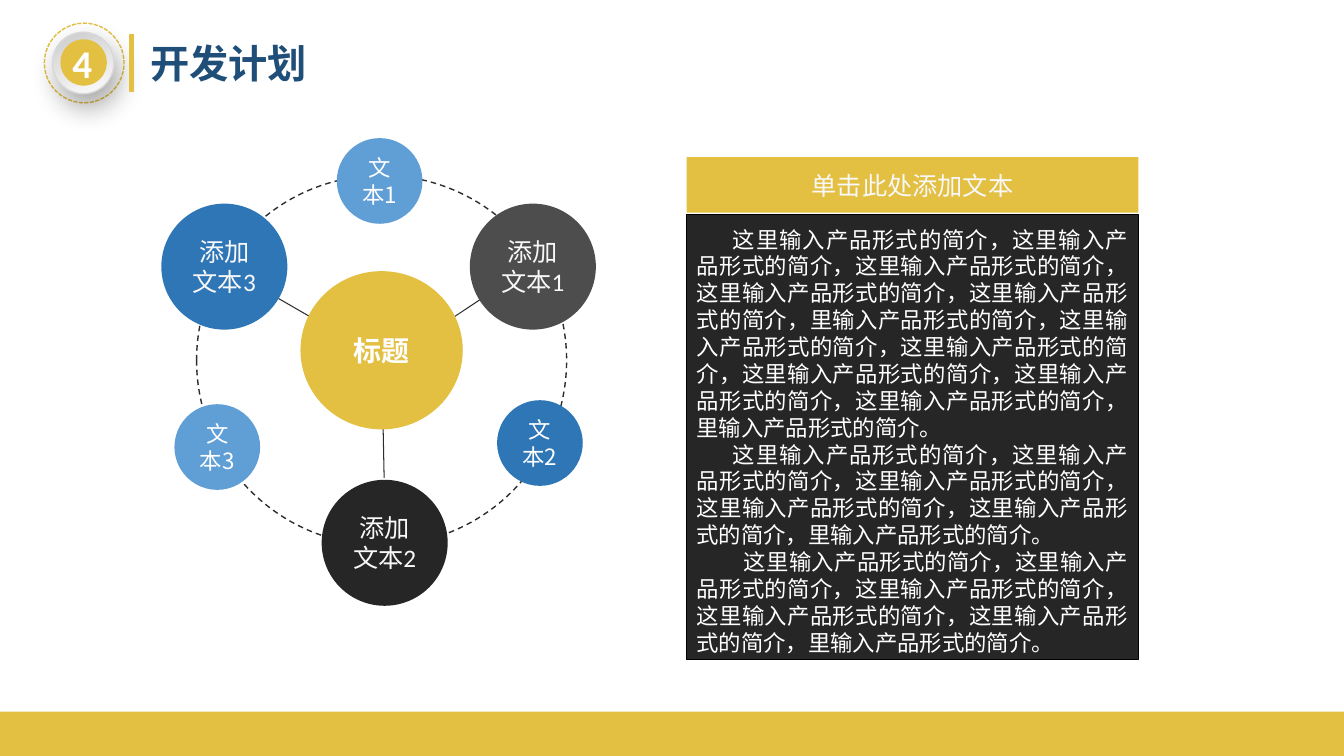
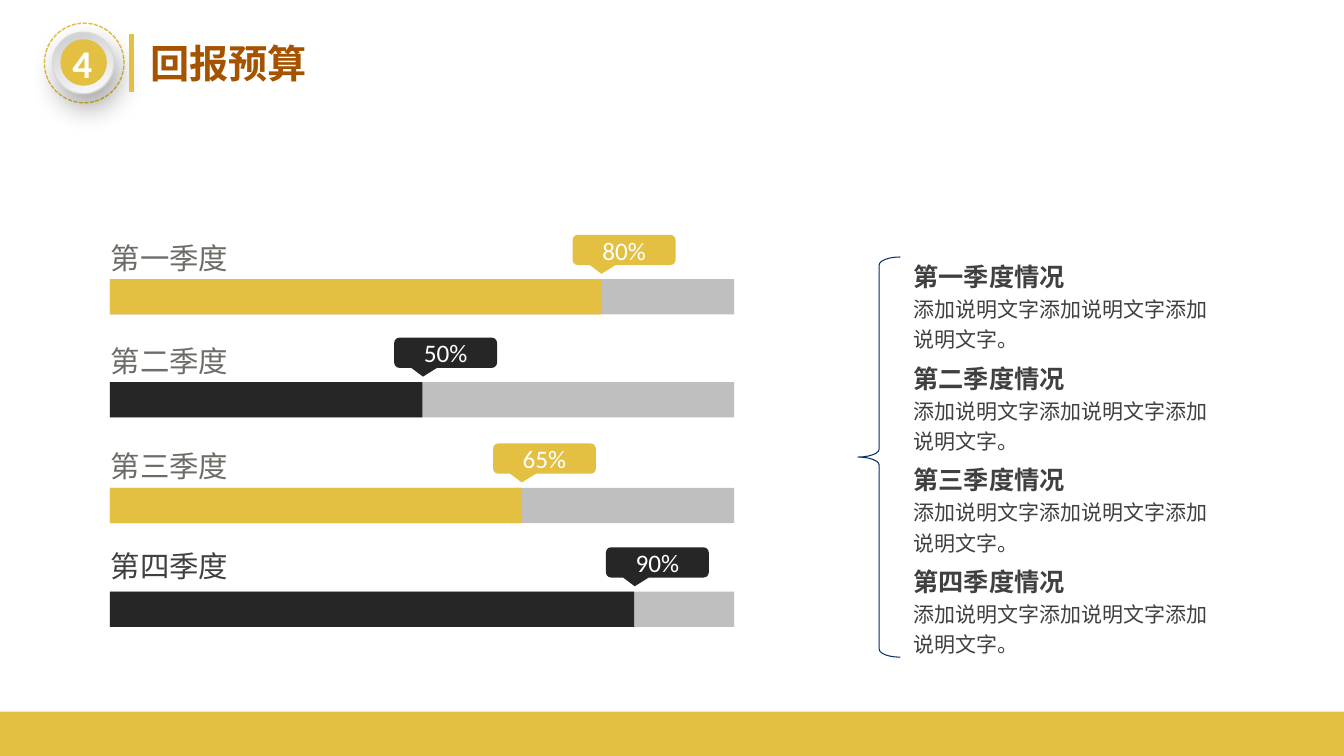
"""Build a development plan slide and a return budget slide."""
import pptx
import pptx.dml.color
import pptx.enum.dml
import pptx.enum.shapes
import pptx.enum.text
import pptx.oxml.xmlchemy
import pptx.util

Inches = pptx.util.Inches
Pt = pptx.util.Pt
RGBColor = pptx.dml.color.RGBColor
SHAPE = pptx.enum.shapes.MSO_SHAPE
DASH = pptx.enum.dml.MSO_LINE
ALIGN = pptx.enum.text.PP_ALIGN
ANCHOR = pptx.enum.text.MSO_ANCHOR
FIT = pptx.enum.text.MSO_AUTO_SIZE
OxmlElement = pptx.oxml.xmlchemy.OxmlElement

GOLD = RGBColor(0xE3, 0xBF, 0x42)
INK = RGBColor(0x26, 0x26, 0x26)
CHARCOAL = RGBColor(0x4D, 0x4D, 0x4D)
SLATE = RGBColor(0x2B, 0x2E, 0x30)
BLUE = RGBColor(0x2F, 0x76, 0xB7)
SKY = RGBColor(0x60, 0x9E, 0xD6)
NAVY = RGBColor(0x1F, 0x4E, 0x79)
BRACE_BLUE = RGBColor(0x05, 0x2E, 0x65)
BROWN = RGBColor(0xA6, 0x53, 0x00)
TEXT_GREY = RGBColor(0x40, 0x40, 0x40)
LABEL_GREY = RGBColor(0x6E, 0x6C, 0x67)
TRACK_GREY = RGBColor(0xBF, 0xBF, 0xBF)
RIM_GREY = RGBColor(0xD9, 0xD9, 0xD9)
SHADE = RGBColor(0xCC, 0xCC, 0xCC)
GLOW = RGBColor(0xFC, 0xFC, 0xFC)
OFF_WHITE = RGBColor(0xF8, 0xF8, 0xF8)
WHITE = RGBColor(0xFF, 0xFF, 0xFF)
BLACK = RGBColor(0, 0, 0)
LATIN = "Calibri"
HAN = "Noto Sans CJK SC"


def draw(slide, kind, box, fill=None, line=None, width=1, dash=None):
    shape = slide.shapes.add_shape(kind, *[Inches(length) for length in box])
    shape.shadow.inherit = False
    if fill is None:
        shape.fill.background()
    else:
        shape.fill.solid()
        shape.fill.fore_color.rgb = fill
    if line is None:
        shape.line.fill.background()
    else:
        shape.line.color.rgb = line
        shape.line.width = Pt(width)
        shape.line.dash_style = dash
    return shape


def write(holder, text, size, color, font=HAN, bold=False, align=ALIGN.LEFT, more=False):
    frame = holder.text_frame
    paragraph = frame.add_paragraph() if more else frame.paragraphs[0]
    paragraph.alignment = align
    run = paragraph.add_run()
    run.text = text
    run.font.name = font
    run.font.size = Pt(size)
    run.font.bold = bold
    run.font.color.rgb = color
    east_asian = OxmlElement("a:ea")
    east_asian.set("typeface", HAN)
    run.font._element.append(east_asian)
    return paragraph


deck = pptx.Presentation()
deck.slide_width = Inches(13.33)
deck.slide_height = Inches(7.5)

slides = []
for title, title_color in [("开发计划", NAVY), ("回报预算", BROWN)]:
    slide = deck.slides.add_slide(deck.slide_layouts[6])
    slides.append(slide)
    draw(slide, SHAPE.RECTANGLE, (0, 7.06, 13.33, 0.44), GOLD)
    draw(slide, SHAPE.OVAL, (0.44, 0.23, 0.79, 0.79), None, GOLD, 1, DASH.SQUARE_DOT)

    badge = draw(slide, SHAPE.OVAL, (0.52, 0.32, 0.61, 0.61), None, RIM_GREY)
    badge.fill.gradient()
    badge.fill.gradient_angle = 290
    for stop, position, color in zip(badge.fill.gradient_stops, (0, 1), (SHADE, GLOW)):
        stop.position = position
        stop.color.rgb = color
    shadow = OxmlElement("a:outerShdw")
    for key, value in [("blurRad", Pt(20)), ("dist", Pt(10)), ("dir", 70 * 60000),
                       ("algn", "ctr"), ("rotWithShape", 0)]:
        shadow.set(key, str(value))
    shadow_color = OxmlElement("a:srgbClr")
    shadow_color.set("val", str(BLACK))
    opacity = OxmlElement("a:alpha")
    opacity.set("val", "34000")
    shadow_color.append(opacity)
    shadow.append(shadow_color)
    badge._element.spPr.find(pptx.oxml.ns.qn("a:effectLst")).append(shadow)

    draw(slide, SHAPE.OVAL, (0.6, 0.39, 0.46, 0.46), GOLD)
    for left, width, text, color, font in [(0.62, 0.4, "4", WHITE, LATIN),
                                           (1.39, 1.77, title, title_color, HAN)]:
        heading = slide.shapes.add_textbox(Inches(left), Inches(0.34), Inches(width), Inches(0.57))
        heading.text_frame.word_wrap = False
        heading.text_frame.auto_size = FIT.SHAPE_TO_FIT_TEXT
        write(heading, text, 28, color, font, True)
    draw(slide, SHAPE.RECTANGLE, (1.29, 0.34, 0.03, 0.57), GOLD, GOLD)

plan, budget = slides

draw(plan, SHAPE.OVAL, (1.95, 1.74, 3.67, 3.67), None, SLATE, 1, DASH.DASH)
for start_x, start_y, end_x, end_y in [(3.81, 4.74, 3.8, 4.25),
                                       (4.78, 2.96, 4.39, 3.22),
                                       (2.76, 2.96, 3.21, 3.22)]:
    spoke = plan.shapes.add_connector(
        pptx.enum.shapes.MSO_CONNECTOR.STRAIGHT,
        Inches(start_x), Inches(start_y), Inches(end_x), Inches(end_y))
    spoke.line.color.rgb = SLATE
    spoke.line.width = Pt(0.75)
    spoke._element.spPr.append(OxmlElement("a:effectLst"))

for left, top, width, height, fill, text, size, color, font, bold in [
    (1.6, 2.02, 1.25, 1.25, BLUE, "添加文本3", 18, OFF_WHITE, LATIN, False),
    (4.66, 2.02, 1.25, 1.25, CHARCOAL, "添加文本1", 18, OFF_WHITE, LATIN, False),
    (3.19, 4.76, 1.25, 1.25, INK, "添加文本2", 18, OFF_WHITE, LATIN, False),
    (3.34, 1.37, 0.85, 0.85, SKY, "文本1", 16, WHITE, HAN, False),
    (4.93, 3.97, 0.85, 0.85, BLUE, "文本2", 16, WHITE, HAN, False),
    (1.73, 4.01, 0.85, 0.85, SKY, "文本3", 16, WHITE, HAN, False),
    (2.98, 2.69, 1.61, 1.57, GOLD, "标题", 20, WHITE, LATIN, True),
]:
    node = draw(plan, SHAPE.OVAL, (left, top, width, height), fill)
    node.text_frame.vertical_anchor = ANCHOR.MIDDLE
    write(node, text, size, color, font, bold, ALIGN.CENTER)

intro_heading = draw(plan, SHAPE.RECTANGLE, (6.81, 1.56, 4.48, 0.55), GOLD)
intro_heading.text_frame.vertical_anchor = ANCHOR.MIDDLE
write(intro_heading, "单击此处添加文本", 18, OFF_WHITE, LATIN, align=ALIGN.CENTER)

draw(plan, SHAPE.RECTANGLE, (6.81, 2.13, 4.48, 4.41), INK, BLACK, 0.75)
intro = plan.shapes.add_textbox(Inches(6.81), Inches(2.19), Inches(4.48), Inches(4.41))
intro.text_frame.word_wrap = True
intro.text_frame.auto_size = FIT.SHAPE_TO_FIT_TEXT
phrase = "这里输入产品形式的简介，"
ending = "里输入产品形式的简介"
short_intro = phrase * 5 + ending + "。"
long_intro = phrase * 5 + ending + "，" + short_intro
for index, (text, indent) in enumerate([(long_intro, 0.36), (short_intro, 0.36), (short_intro, 0.47)]):
    paragraph = write(intro, text, 16, WHITE, align=ALIGN.JUSTIFY, more=index > 0)
    paragraph._p.get_or_add_pPr().set("indent", str(Inches(indent)))

BAR_LEFT = 1.09
for quarter, share, top, label_top, length, fill, label_color in [
    ("第一季度", "80%", 2.77, 2.33, 4.87, GOLD, LABEL_GREY),
    ("第二季度", "50%", 3.79, 3.35, 3.1, INK, LABEL_GREY),
    ("第三季度", "65%", 4.84, 4.4, 4.08, GOLD, LABEL_GREY),
    ("第四季度", "90%", 5.87, 5.39, 5.2, INK, TEXT_GREY),
]:
    draw(budget, SHAPE.RECTANGLE, (BAR_LEFT, top, 6.19, 0.35), TRACK_GREY)
    draw(budget, SHAPE.RECTANGLE, (BAR_LEFT, top, length, 0.35), fill)
    label = budget.shapes.add_textbox(Inches(1), Inches(label_top), Inches(1.69), Inches(0.45))
    label.text_frame.word_wrap = True
    write(label, quarter, 21, label_color)

    callout = draw(budget, SHAPE.ROUNDED_RECTANGULAR_CALLOUT,
                   (BAR_LEFT + length - 0.28, top - 0.44, 1.02, 0.3), fill)
    for index, value in enumerate((-0.22, 0.79, 0.17)):
        callout.adjustments[index] = value
    frame = callout.text_frame
    frame.vertical_anchor = ANCHOR.MIDDLE
    frame.margin_left = frame.margin_right = Inches(0.13)
    frame.margin_top = frame.margin_bottom = Inches(0.06)
    write(callout, share, 18, WHITE, LATIN, align=ALIGN.CENTER)

brace = draw(budget, SHAPE.LEFT_BRACE, (8.51, 2.55, 0.42, 3.97), None, BRACE_BLUE, 0.75)
brace.adjustments[0] = 0.19
for index, quarter in enumerate("一二三四"):
    note = budget.shapes.add_textbox(
        Inches(8.93), Inches(2.47 + 1.01 * index), Inches(3.36), Inches(1.08))
    frame = note.text_frame
    frame.word_wrap = True
    frame.margin_left = frame.margin_right = Inches(0.13)
    frame.margin_top = frame.margin_bottom = Inches(0.06)
    write(note, f"第{quarter}季度情况", 18, TEXT_GREY, bold=True).line_spacing = 1.2
    write(note, "添加说明文字" * 3 + "。", 15, TEXT_GREY, more=True).line_spacing = 1.2

deck.save("out.pptx")
